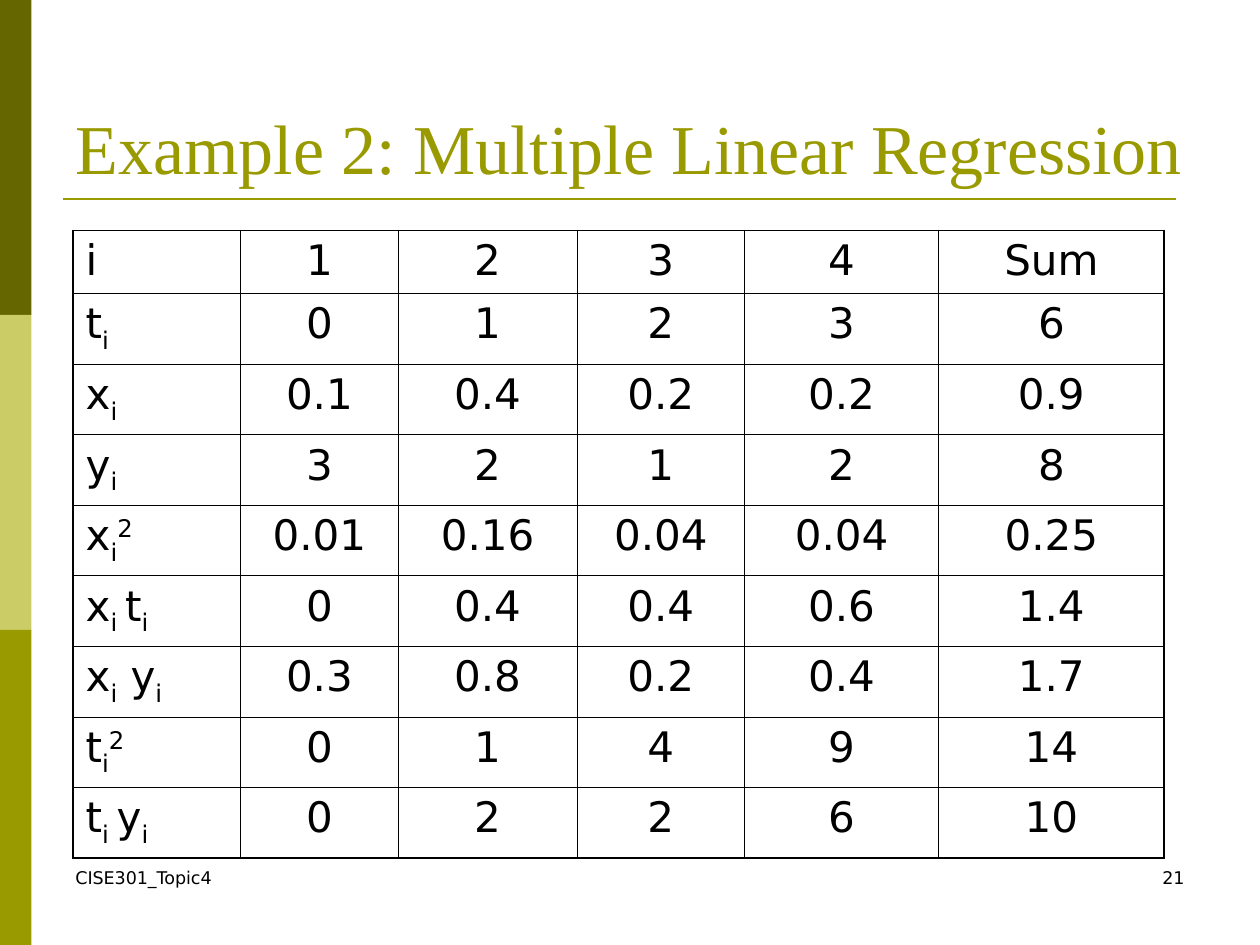
from lxml import etree
from pptx import Presentation
from pptx.dml.color import RGBColor
from pptx.enum.shapes import MSO_CONNECTOR, MSO_SHAPE
from pptx.enum.text import MSO_ANCHOR, PP_ALIGN
from pptx.oxml.ns import qn
from pptx.util import Inches, Pt

RECTANGLE = MSO_SHAPE.RECTANGLE
STRAIGHT = MSO_CONNECTOR.STRAIGHT
LEFT, CENTER, RIGHT = PP_ALIGN.LEFT, PP_ALIGN.CENTER, PP_ALIGN.RIGHT
TOP, BOTTOM = MSO_ANCHOR.TOP, MSO_ANCHOR.BOTTOM
SUB, SUPER = -25, 30

COLUMN_WIDTHS = [1.33, 1.25, 1.42, 1.33, 1.54, 1.79]
HEADER_HEIGHT, ROW_HEIGHT = 0.5, 0.56
REGRESSION_ROWS = [
    ([("i", 0)], "1 2 3 4 Sum"),
    ([("t", 0), ("i", SUB)], "0 1 2 3 6"),
    ([("x", 0), ("i", SUB)], "0.1 0.4 0.2 0.2 0.9"),
    ([("y", 0), ("i", SUB)], "3 2 1 2 8"),
    ([("x", 0), ("i", SUB), ("2", SUPER)], "0.01 0.16 0.04 0.04 0.25"),
    ([("x", 0), ("i ", SUB), ("t", 0), ("i", SUB)], "0 0.4 0.4 0.6 1.4"),
    ([("x", 0), ("i", SUB), (" y", 0), ("i", SUB)], "0.3 0.8 0.2 0.4 1.7"),
    ([("t", 0), ("i", SUB), ("2", SUPER)], "0 1 4 9 14"),
    ([("t", 0), ("i ", SUB), ("y", 0), ("i", SUB)], "0 2 2 6 10"),
]


def color(value):
    return RGBColor.from_string(value)


class SlideBuilder:
    """Holds the style and the current slide, and adds each kind of element."""

    heading_font, body_font = "Times New Roman", "DejaVu Sans"
    ink, olive, dark_olive, pale_olive = "000000", "999900", "666600", "CCCC66"
    thin, thick = 0.45, 1.08

    def __init__(self, deck):
        self.page = deck.slides.add_slide(deck.slide_layouts[5])

    def add_text(self, frame, runs, size, align=LEFT, font=None, tint=None):
        para = frame.paragraphs[0]
        para.alignment = align
        for text, baseline in runs:
            span = para.add_run()
            span.text = text
            span.font.name = font or self.body_font
            span.font.size = Pt(size)
            span.font.color.rgb = color(tint or self.ink)
            if baseline:
                span._r.get_or_add_rPr().set("baseline", str(baseline * 1000))

    def title(self, text, left, top, width, height):
        box = self.page.shapes.title
        box.left, box.top = Inches(left), Inches(top)
        box.width, box.height = Inches(width), Inches(height)
        box.text_frame.vertical_anchor = BOTTOM
        self.add_text(
            box.text_frame, [(text, 0)], 40, LEFT, self.heading_font, self.olive)

    def band(self, left, top, width, height, fill):
        box = self.page.shapes.add_shape(
            RECTANGLE, Inches(left), Inches(top), Inches(width), Inches(height))
        box.shadow.inherit = False
        box.fill.solid()
        box.fill.fore_color.rgb = color(fill)
        box.line.fill.background()

    def rule(self, left, right, top):
        line = self.page.shapes.add_connector(
            STRAIGHT, Inches(left), Inches(top), Inches(right), Inches(top))
        line.line.color.rgb = color(self.olive)
        line.line.width = Pt(1.5)
        etree.SubElement(line._element.spPr, qn("a:effectLst"))

    def footer(self, text, left, align):
        box = self.page.shapes.add_textbox(
            Inches(left), Inches(6.83), Inches(2.33), Inches(0.5))
        box.text_frame.word_wrap = True
        self.add_text(box.text_frame, [(text, 0)], 10, align)

    def border(self, cell, side, width):
        line = etree.SubElement(
            cell._tc.get_or_add_tcPr(), qn(f"a:ln{side}"), w=str(Pt(width)))
        fill = etree.SubElement(line, qn("a:solidFill"))
        etree.SubElement(fill, qn("a:srgbClr"), val=self.ink)

    def table(self, rows, left, top):
        heights = [HEADER_HEIGHT] + [ROW_HEIGHT] * (len(rows) - 1)
        grid = self.page.shapes.add_table(
            len(rows), len(COLUMN_WIDTHS), Inches(left), Inches(top),
            Inches(sum(COLUMN_WIDTHS)), Inches(sum(heights))).table
        grid.first_row = grid.horz_banding = False
        for column, width in zip(grid.columns, COLUMN_WIDTHS):
            column.width = Inches(width)
        last_row, last_column = len(rows) - 1, len(COLUMN_WIDTHS) - 1
        for r, (label, values) in enumerate(rows):
            grid.rows[r].height = Inches(heights[r])
            contents = [label] + [[(value, 0)] for value in values.split()]
            for c, runs in enumerate(contents):
                cell = grid.cell(r, c)
                outer = {"L": c == 0, "R": c == last_column,
                         "T": r == 0, "B": r == last_row}
                for side, is_outer in outer.items():
                    self.border(cell, side, self.thick if is_outer else self.thin)
                cell.fill.background()
                cell.vertical_anchor = TOP
                self.add_text(cell.text_frame, runs, 24, CENTER if c else LEFT)


def main():
    deck = Presentation()
    deck.slide_width, deck.slide_height = Inches(10), Inches(7.5)
    slide = SlideBuilder(deck)
    for i, fill in enumerate([slide.dark_olive, slide.pale_olive, slide.olive]):
        slide.band(0, 2.5 * i, 0.25, 2.5, fill)
    slide.rule(0.5, 9.33, 1.58)
    slide.footer("CISE301_Topic4", 0.5, LEFT)
    slide.footer("21", 7.17, RIGHT)
    slide.title("Example 2: Multiple Linear Regression", 0.5, 0.3, 9, 1.25)
    slide.table(REGRESSION_ROWS, 0.58, 1.83)
    deck.save("out.pptx")


if __name__ == "__main__":
    main()
